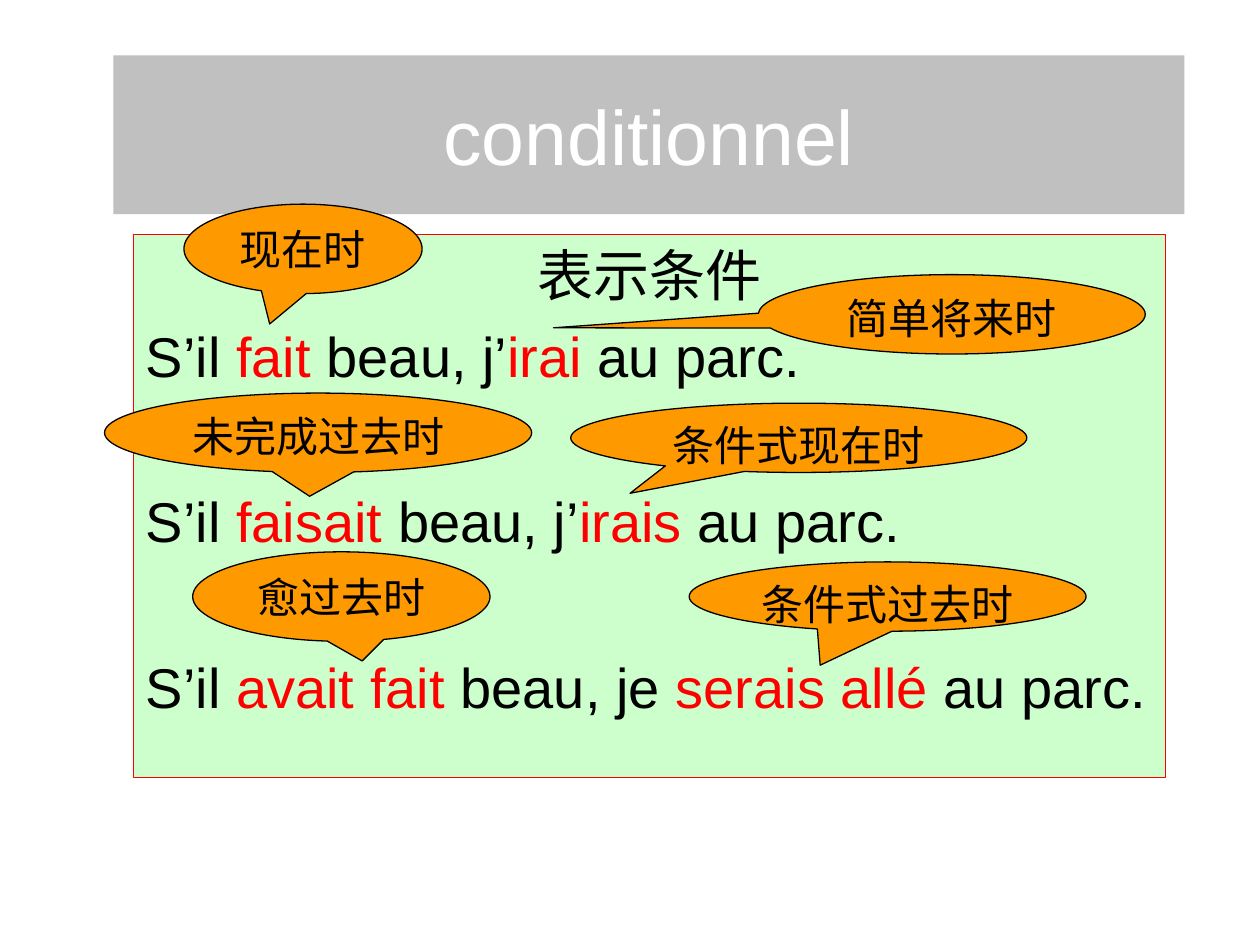
"""Build a slide on the French conditional with tense callouts."""
from typing import NamedTuple

from pptx import Presentation
from pptx.dml.color import RGBColor
from pptx.enum.shapes import MSO_SHAPE as Shape
from pptx.enum.text import MSO_ANCHOR as Anchor, PP_ALIGN as Align
from pptx.util import Inches, Pt

COLORS = {
    "banner": "C0C0C0", "panel": "CCFFCC", "callout": "FF9900",
    "accent": "FF0000", "text": "000000", "title": "FFFFFF",
}


class Callout(NamedTuple):
    text: str
    box: tuple[float, float, float, float]
    tip: tuple[float, float]


class Sentence(NamedTuple):
    phrases: tuple[str, ...]
    space_before: float


CALLOUTS = [
    Callout("现在时", (1.46, 1.62, 1.89, 0.71), (-0.14, 0.84)),
    Callout("简单将来时", (6.02, 2.18, 3.07, 0.63), (-1.03, 0.17)),
    Callout("未完成过去时", (0.83, 3.12, 3.39, 0.63), (-0.02, 0.8)),
    Callout("条件式现在时", (4.53, 3.2, 3.62, 0.55), (-0.37, 0.8)),
    Callout("愈过去时", (1.53, 4.38, 2.36, 0.71), (0.07, 0.72)),
    Callout("条件式过去时", (5.47, 4.46, 3.15, 0.55), (-0.17, 0.99)),
]
SENTENCES = [
    Sentence(("S’il ", "fait", " beau, j’", "irai", " au parc."), 8),
    Sentence(("S’il ", "faisait", " beau, j’", "irais", " au parc."), 56),
    Sentence(("S’il ", "avait fait", " beau, je ", "serais allé", " au parc."), 56),
]


def rgb(name: str) -> RGBColor:
    return RGBColor.from_string(COLORS[name])


def set_attrs(target, **values) -> None:
    for name, value in values.items():
        setattr(target, name, value)


def place(sp, box: tuple[float, float, float, float]) -> None:
    set_attrs(sp, **dict(zip(("left", "top", "width", "height"), map(Inches, box))))


def add_run(p, text: str, size: float, color: str = "text") -> None:
    r = p.add_run()
    r.text = text
    set_attrs(r.font, name="Arial", size=Pt(size), bold=False)
    r.font.color.rgb = rgb(color)


def paint(sp, fill: str, line: str | None = None) -> None:
    sp.fill.solid()
    sp.fill.fore_color.rgb = rgb(fill)
    if line:
        sp.line.color.rgb = rgb(line)
        sp.line.width = Pt(0.75)


def add_box(slide, kind: Shape, box: tuple[float, float, float, float], fill: str, line: str):
    sp = slide.shapes.add_shape(kind, *map(Inches, box))
    sp.shadow.inherit = False
    paint(sp, fill, line)
    set_attrs(sp.text_frame, word_wrap=True, vertical_anchor=Anchor.TOP)
    return sp


def add_title(slide, text: str) -> None:
    sp = slide.shapes.title
    place(sp, (0.9, 0.44, 8.5, 1.26))
    paint(sp, "banner")
    sp.text_frame.vertical_anchor = Anchor.MIDDLE
    p = sp.text_frame.paragraphs[0]
    p.alignment = Align.CENTER
    add_run(p, text, 44, "title")


def add_panel(slide, heading: str, sentences: list[Sentence]) -> None:
    tf = add_box(slide, Shape.RECTANGLE, (1.06, 1.86, 8.19, 4.31), "panel", "accent").text_frame
    p = tf.paragraphs[0]
    set_attrs(p, alignment=Align.CENTER, space_before=Pt(8))
    add_run(p, heading, 32)
    for sentence in sentences:
        p = tf.add_paragraph()
        set_attrs(p, alignment=Align.LEFT, space_before=Pt(sentence.space_before))
        for i, phrase in enumerate(sentence.phrases):
            add_run(p, phrase, 32, "accent" if i % 2 else "text")


def add_callout(slide, callout: Callout) -> None:
    sp = add_box(slide, Shape.OVAL_CALLOUT, callout.box, "callout", "text")
    for i, value in enumerate(callout.tip):
        sp.adjustments[i] = value
    p = sp.text_frame.paragraphs[0]
    p.alignment = Align.CENTER
    add_run(p, callout.text, 24)


def main() -> None:
    prs = Presentation()
    set_attrs(prs, slide_width=Inches(10), slide_height=Inches(7.5))
    slide = prs.slides.add_slide(prs.slide_layouts[5])
    add_title(slide, "conditionnel")
    add_panel(slide, "表示条件", SENTENCES)
    for callout in CALLOUTS:
        add_callout(slide, callout)
    prs.save("out.pptx")


if __name__ == "__main__":
    main()
